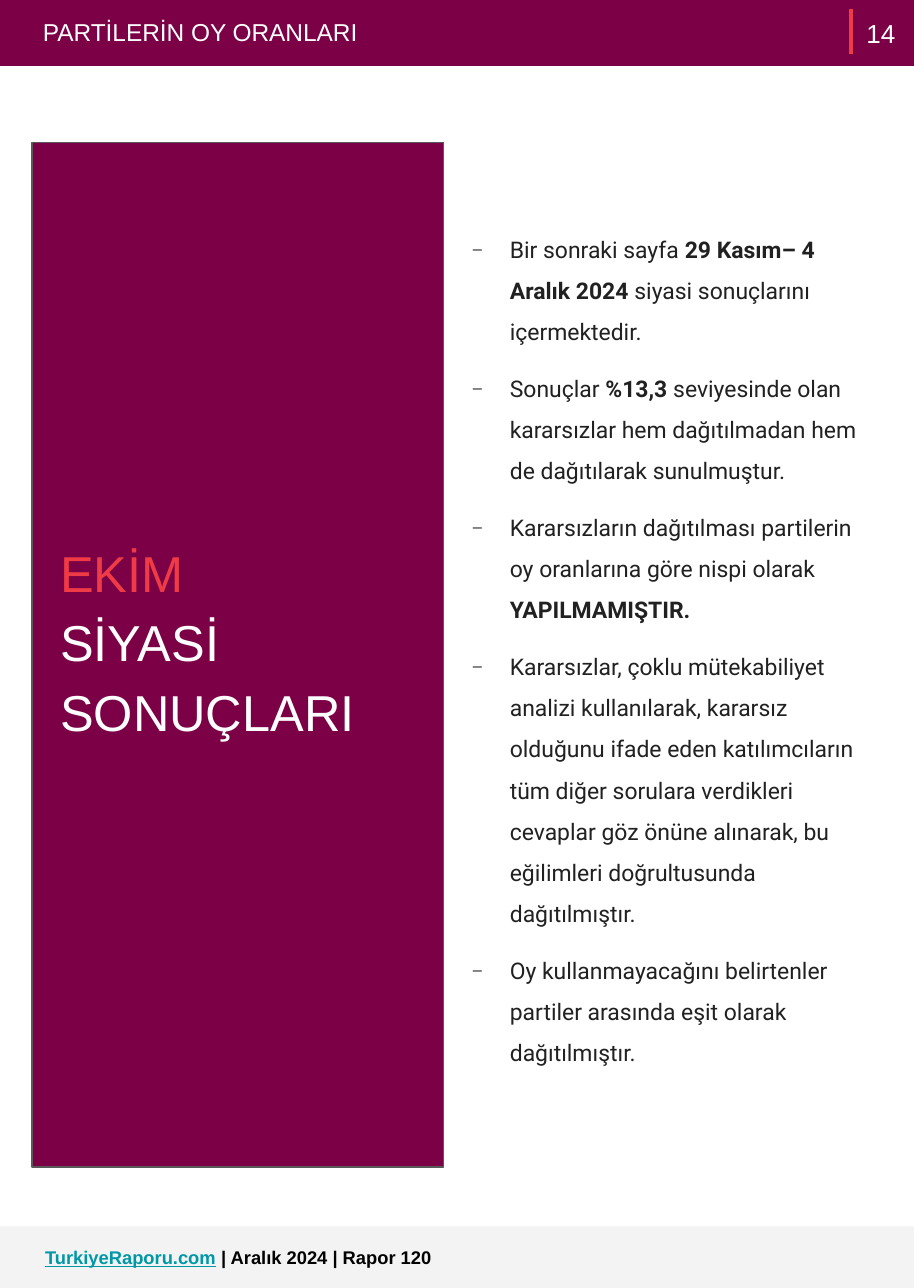
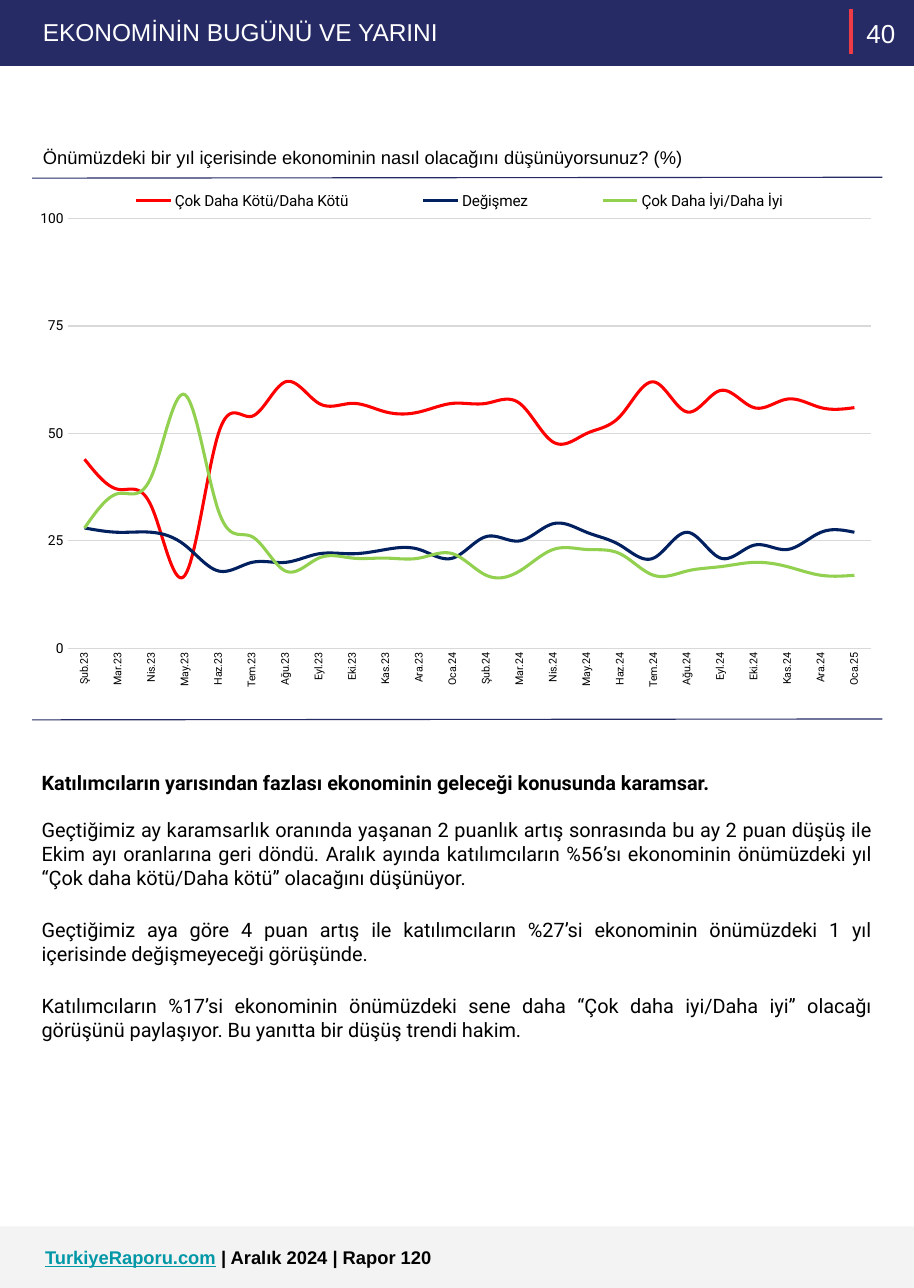
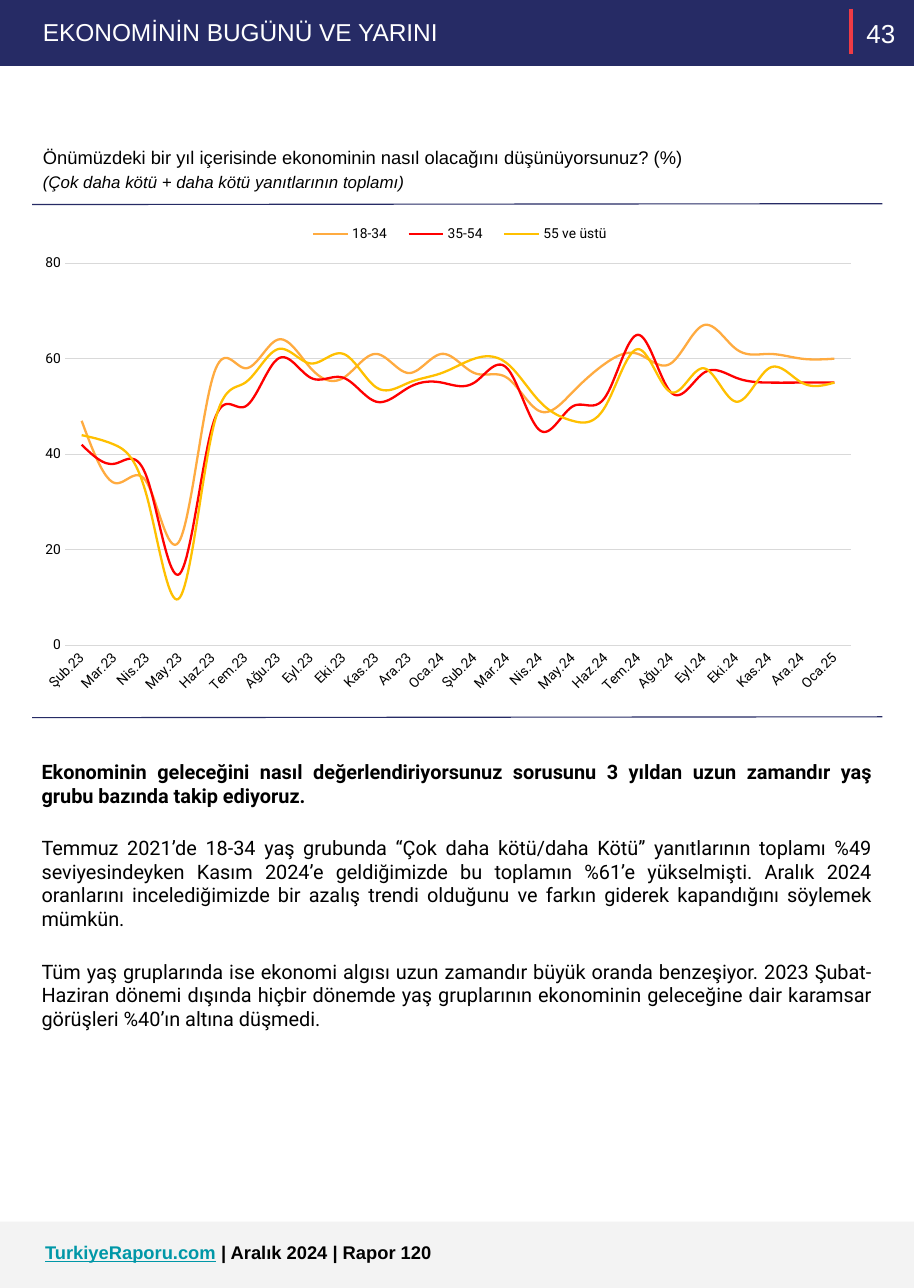
import pptx
import pptx.util
import pptx.dml.color
import pptx.chart.data
import pptx.enum.chart
import pptx.enum.shapes
import pptx.enum.text
import pptx.oxml
import pptx.oxml.ns

Cm = pptx.util.Cm
Pt = pptx.util.Pt
RGB = pptx.dml.color.RGBColor
ALIGN = pptx.enum.text.PP_ALIGN
ANCHOR = pptx.enum.text.MSO_ANCHOR
qn = pptx.oxml.ns.qn

PLUM = RGB(0x7B, 0x00, 0x46)
NAVY = RGB(0x26, 0x2B, 0x65)
RED = RGB(0xEF, 0x3B, 0x45)
TEAL = RGB(0x00, 0x97, 0xA7)
PALE = RGB(0xF3, 0xF3, 0xF3)
EDGE = RGB(0x59, 0x59, 0x59)
GRID = RGB(0xD9, 0xD9, 0xD9)
INK = RGB(0x21, 0x21, 0x21)
BLACK = RGB(0, 0, 0)
WHITE = RGB(255, 255, 255)

WIDE, HIGH, BAND = 21.08, 29.72, 1.52
LEFT, SPAN = 0.74, 19.63
PAD = 0.25

SITE = "TurkiyeRaporu.com"
ISSUE = "| Aralık 2024 | Rapor 120"
ASK = "Önümüzdeki bir yıl içerisinde ekonominin nasıl olacağını düşünüyorsunuz? (%)"

NOTES = [
    [("Bir sonraki sayfa ", False), ("29 Kasım– 4 Aralık 2024", True),
     (" siyasi sonuçlarını içermektedir.", False)],
    [("Sonuçlar ", False), ("%13,3 ", True),
     ("seviyesinde olan kararsızlar hem dağıtılmadan hem de dağıtılarak sunulmuştur.", False)],
    [("Kararsızların dağıtılması partilerin oy oranlarına göre nispi olarak ", False),
     ("YAPILMAMIŞTIR.", True)],
    [("Kararsızlar, çoklu mütekabiliyet analizi kullanılarak, kararsız olduğunu ifade eden "
      "katılımcıların tüm diğer sorulara verdikleri cevaplar göz önüne alınarak, bu "
      "eğilimleri doğrultusunda dağıtılmıştır.", False)],
    [("Oy kullanmayacağını belirtenler partiler arasında eşit olarak dağıtılmıştır.", False)],
]

MONTHS = ["Şub", "Mar", "Nis", "May", "Haz", "Tem", "Ağu", "Eyl", "Eki", "Kas", "Ara", "Oca"]
DATES = [f"{name}.{year + (name == 'Oca')}" for year in (23, 24) for name in MONTHS]

OUTLOOK = {
    "page": "40", "foot": 28.3, "ask": [(ASK, 12, False)], "rules": (4.11, 16.61),
    "box": (LEFT, 4.19, SPAN, 12.37),
    "plot": (0.042, 0.069, 0.944, 0.802), "key": (0.04, 0.011, 0.924, 0.05),
    "top": 100, "step": 25, "turn": -90, "small": 7, "keysize": 10, "weight": 2,
    "lines": [
        ("Çok Daha Kötü/Daha Kötü", RGB(0xFF, 0x00, 0x00),
         [44, 37, 33, 17, 50, 54, 62, 57, 57, 55, 55, 57,
          57, 57, 48, 50, 54, 62, 55, 60, 56, 58, 56, 56]),
        ("Değişmez", RGB(0x00, 0x20, 0x60),
         [28, 27, 27, 24, 18, 20, 20, 22, 22, 23, 23, 21,
          26, 25, 29, 27, 24, 21, 27, 21, 24, 23, 27, 27]),
        ("Çok Daha İyi/Daha İyi", RGB(0x92, 0xD0, 0x50),
         [28, 36, 40, 59, 32, 26, 18, 21, 21, 21, 21, 22,
          17, 18, 23, 23, 22, 17, 18, 19, 20, 19, 17, 17]),
    ],
    "text": 17.53, "gaps": (0, 15.5, 18.5, 18.5),
    "body": [
        "Katılımcıların yarısından fazlası ekonominin geleceği konusunda karamsar.",
        "Geçtiğimiz ay karamsarlık oranında yaşanan 2 puanlık artış sonrasında bu ay 2 puan "
        "düşüş ile Ekim ayı oranlarına geri döndü. Aralık ayında katılımcıların %56’sı "
        "ekonominin önümüzdeki yıl “Çok daha kötü/Daha kötü” olacağını düşünüyor.",
        "Geçtiğimiz aya göre 4 puan artış ile katılımcıların %27’si ekonominin önümüzdeki "
        "1 yıl içerisinde değişmeyeceği görüşünde.",
        "Katılımcıların %17’si ekonominin önümüzdeki sene daha “Çok daha iyi/Daha iyi” "
        "olacağı görüşünü paylaşıyor. Bu yanıtta bir düşüş trendi hakim.",
    ],
}

AGES = {
    "page": "43", "foot": 28.19,
    "ask": [(ASK, 12, False), ("(Çok daha kötü + daha kötü yanıtlarının toplamı)", 11, True)],
    "rules": (4.72, 16.56),
    "box": (LEFT, 4.83, SPAN, 11.73),
    "plot": (0.039, 0.106, 0.923, 0.752), "key": (0.31, 0.024, 0.385, 0.05),
    "top": 80, "step": 20, "turn": -45, "small": 9, "keysize": 9, "weight": 1.5,
    "lines": [
        ("18-34", RGB(0xFF, 0xAB, 0x40),
         [47, 34, 34, 22, 56, 58, 64, 58, 56, 61, 57, 61,
          57, 56, 49, 53, 59, 61, 59, 67, 62, 61, 60, 60]),
        ("35-54", RGB(0xFF, 0x00, 0x00),
         [42, 38, 35, 15, 46, 50, 60, 56, 56, 51, 54, 55,
          55, 58, 45, 50, 52, 65, 53, 57, 56, 55, 55, 55]),
        ("55 ve üstü", RGB(0xFF, 0xC0, 0x00),
         [44, 42, 31, 10, 45, 55, 62, 59, 61, 54, 55, 57,
          60, 59, 51, 47, 50, 62, 53, 58, 51, 58, 55, 55]),
    ],
    "text": 17.27, "gaps": (0, 18.5, 18.5),
    "body": [
        "Ekonominin geleceğini nasıl değerlendiriyorsunuz sorusunu 3 yıldan uzun zamandır "
        "yaş grubu bazında takip ediyoruz.",
        "Temmuz 2021’de 18-34 yaş grubunda “Çok daha kötü/daha Kötü” yanıtlarının toplamı "
        "%49 seviyesindeyken Kasım 2024’e geldiğimizde bu toplamın %61’e yükselmişti. Aralık "
        "2024 oranlarını incelediğimizde bir azalış trendi olduğunu ve farkın giderek "
        "kapandığını söylemek mümkün.",
        "Tüm yaş gruplarında ise ekonomi algısı uzun zamandır büyük oranda benzeşiyor. 2023 "
        "Şubat-Haziran dönemi dışında hiçbir dönemde yaş gruplarının ekonominin geleceğine "
        "dair karamsar görüşleri %40’ın altına düşmedi.",
    ],
}


def style(font, size, color, name="Arial", bold=False):
    font.size, font.name, font.bold = Pt(size), name, bold
    font.color.rgb = color


def write(para, text, size, color, name="Arial", bold=False):
    run = para.add_run()
    run.text = text
    style(run.font, size, color, name, bold)
    return run


def frame(shape, pad=PAD, anchor=ANCHOR.TOP):
    text = shape.text_frame
    text.word_wrap = True
    text.auto_size = pptx.enum.text.MSO_AUTO_SIZE.NONE
    text.vertical_anchor = anchor
    text.margin_left = text.margin_right = Cm(PAD)
    text.margin_top = text.margin_bottom = Cm(pad)
    return text


def label(slide, box, **kind):
    return frame(slide.shapes.add_textbox(*map(Cm, box)), **kind)


def paras(text, count):
    return [text.paragraphs[0]] + [text.add_paragraph() for _ in range(count - 1)]


def block(slide, box, color, edge=None):
    shape = slide.shapes.add_shape(pptx.enum.shapes.MSO_SHAPE.RECTANGLE, *map(Cm, box))
    shape.shadow.inherit = False
    shape.fill.solid()
    shape.fill.fore_color.rgb = color
    if edge is None:
        shape.line.fill.background()
    else:
        shape.line.color.rgb = edge
        shape.line.width = Pt(0.75)


def rule(slide, ends, color, weight):
    line = slide.shapes.add_connector(pptx.enum.shapes.MSO_CONNECTOR.STRAIGHT, *map(Cm, ends))
    line.line.color.rgb = color
    line.line.width = Pt(weight)
    pptx.oxml.ns.qn
    line.element.spPr.append(pptx.oxml.parse_xml(
        f"<a:effectLst {pptx.oxml.ns.nsdecls('a')}/>"))


def start(deck, title, page, color, foot):
    slide = deck.slides.add_slide(deck.slide_layouts[5])
    block(slide, (0, foot, WIDE, HIGH - foot), PALE)
    para = label(slide, (0.79, foot + 0.2, 17.68, 1.02)).paragraphs[0]
    write(para, SITE, 12, TEAL, bold=True).font.underline = True
    write(para, " ", 12, RED, bold=True)
    write(para, ISSUE, 12, BLACK, bold=True)

    block(slide, (0, 0, WIDE, BAND), color)
    rule(slide, (19.63, 0.2, 19.63, 1.24), RED, 2.25)
    head = slide.shapes.title
    head.left, head.top, head.width, head.height = map(Cm, (LEFT, 0.15, 16.38, 1.19))
    slide.shapes.element.append(head.element)
    para = frame(head).paragraphs[0]
    para.alignment = ALIGN.LEFT
    write(para, title, 16, WHITE)
    para = label(slide, (19.63, 0, 1.37, BAND), anchor=ANCHOR.MIDDLE).paragraphs[0]
    para.alignment = ALIGN.CENTER
    write(para, page, 17, WHITE)
    return slide


def bullet(para):
    props = para._p.get_or_add_pPr()
    props.set("marL", str(Cm(1.27)))
    props.set("indent", str(Cm(-0.89)))
    space = pptx.oxml.ns.nsdecls("a")
    for part in (f'<a:buClr {space}><a:srgbClr val="{INK}"/></a:buClr>',
                 f'<a:buChar {space} char="₋"/>'):
        props.append(pptx.oxml.parse_xml(part))


def place(spot, inner=False):
    tags = '<c:layoutTarget val="inner"/>' if inner else ""
    tags += '<c:xMode val="edge"/><c:yMode val="edge"/>'
    tags += "".join(f'<c:{tag} val="{num}"/>' for tag, num in zip("xywh", spot))
    return pptx.oxml.parse_xml(
        f"<c:layout {pptx.oxml.ns.nsdecls('c')}>"
        f"<c:manualLayout>{tags}</c:manualLayout></c:layout>")


def graph(slide, info):
    data = pptx.chart.data.CategoryChartData()
    data.categories = DATES
    for name, _, nums in info["lines"]:
        data.add_series(name, nums)
    chart = slide.shapes.add_chart(
        pptx.enum.chart.XL_CHART_TYPE.LINE, *map(Cm, info["box"]), data).chart
    chart.has_title = False
    style(chart.font, 10, BLACK, "Roboto")
    for line, (_, color, _) in zip(chart.plots[0].series, info["lines"]):
        line.smooth = True
        line.format.line.color.rgb = color
        line.format.line.width = Pt(info["weight"])
    chart.plots[0].vary_by_categories = False

    cat, val = chart.category_axis, chart.value_axis
    for axis, size in ((cat, info["small"]), (val, 9)):
        axis.major_tick_mark = axis.minor_tick_mark = pptx.enum.chart.XL_TICK_MARK.NONE
        style(axis.tick_labels.font, size, BLACK, "Roboto")
    val.minimum_scale, val.maximum_scale, val.major_unit = 0, info["top"], info["step"]
    val.format.line.fill.background()
    val.has_major_gridlines = True
    for line in (cat.format.line, val.major_gridlines.format.line):
        line.color.rgb = GRID
        line.width = Pt(0.75)
    turn = cat._element.find(qn("c:txPr")).find(qn("a:bodyPr"))
    turn.set("rot", str(info["turn"] * 60000))
    turn.set("vert", "horz")

    chart.has_legend = True
    key = chart.legend
    key.position = pptx.enum.chart.XL_LEGEND_POSITION.BOTTOM
    key.include_in_layout = False
    style(key.font, info["keysize"], BLACK, "Roboto")
    area = chart._chartSpace.chart.plotArea
    for owner in (area, key._element):
        for old in owner.findall(qn("c:layout")):
            owner.remove(old)
    area.insert(0, place(info["plot"], True))
    key._element.find(qn("c:legendPos")).addnext(place(info["key"]))


def results(deck):
    slide = start(deck, "PARTİLERİN OY ORANLARI", "14", PLUM, 28.3)
    text = label(slide, (10.24, 4.98, 10.11, 20), pad=0.13)
    for row, (para, runs) in enumerate(zip(paras(text, len(NOTES)), NOTES)):
        bullet(para)
        para.line_spacing = 1.5
        para.space_before = Pt(10 if row else 0)
        for words, bold in runs:
            write(para, words, 15, INK, "Roboto", bold)
    block(slide, (LEFT, 3.28, 9.5, 23.65), PLUM, EDGE)
    text = label(slide, (1.14, 12.04, 7.75, 5.38))
    for para, words, color in zip(paras(text, 2), ("EKİM", "SİYASİ SONUÇLARI"), (RED, WHITE)):
        para.line_spacing = 1.15
        write(para, words, 33, color)


def survey(deck, info):
    slide = start(deck, "EKONOMİNİN BUGÜNÜ VE YARINI", info["page"], NAVY, info["foot"])
    rows = info["ask"]
    text = label(slide, (LEFT, 3.05, SPAN, 0.47 + 0.55 * len(rows)))
    for para, (words, size, slant) in zip(paras(text, len(rows)), rows):
        para.line_spacing = 1.15
        write(para, words, size, BLACK).font.italic = slant
    for top in info["rules"]:
        rule(slide, (LEFT, top, LEFT + 19.61, top - 0.02), NAVY, 0.75)
    graph(slide, info)
    body = info["body"]
    text = label(slide, (0.71, info["text"], SPAN, 8.1))
    for row, (para, words) in enumerate(zip(paras(text, len(body)), body)):
        para.alignment = ALIGN.JUSTIFY
        para.space_before = Pt(info["gaps"][row])
        write(para, words, 13, BLACK, "Roboto", row == 0)


def main():
    deck = pptx.Presentation()
    deck.slide_width, deck.slide_height = Cm(WIDE), Cm(HIGH)
    results(deck)
    for info in (OUTLOOK, AGES):
        survey(deck, info)
    deck.save("out.pptx")


if __name__ == "__main__":
    main()
